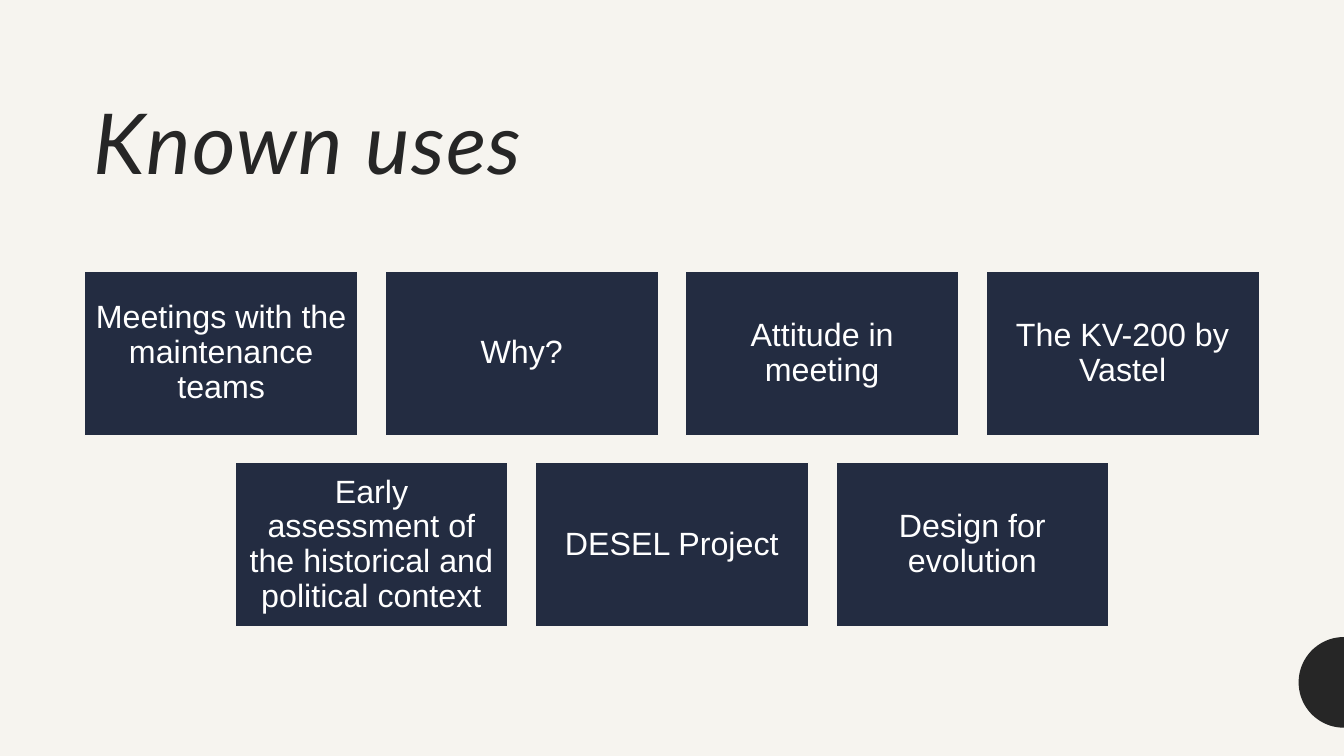
import math

from pptx import Presentation
from pptx import util as u
from pptx.dml.color import RGBColor
from pptx.enum import shapes, text

WIDE, HIGH = 13.33, 7.5


def paint(fill, tint):
    fill.solid()
    fill.fore_color.rgb = RGBColor.from_string(tint)


class Deck:
    paper, ink, navy, white = "F6F4EF", "262626", "232C41", "FFFFFF"
    head, body = "Lato", "Arial"

    def __init__(self, slide):
        self.slide = slide
        paint(slide.background.fill, self.paper)

    def label(self, shape, words, font, size, tint, align, anchor):
        frame = shape.text_frame
        frame.word_wrap = True
        frame.auto_size = text.MSO_AUTO_SIZE.NONE
        frame.vertical_anchor = anchor
        frame.text = words
        para = frame.paragraphs[0]
        para.alignment = align
        para.line_spacing = 0.9
        para.font.name, para.font.size = font, u.Pt(size)
        paint(para.font.fill, tint)
        return para

    def title(self, words, left, top, width, height):
        shape = self.slide.shapes.title
        shape.left, shape.top = u.Inches(left), u.Inches(top)
        shape.width, shape.height = u.Inches(width), u.Inches(height)
        para = self.label(shape, words, self.head, 60, self.ink,
                          text.PP_ALIGN.LEFT, text.MSO_ANCHOR.BOTTOM)
        para.font.italic = True
        # Letter spacing in hundredths of a point
        para.runs[0]._r.get_or_add_rPr().set("spc", "100")

    def card(self, words, left, top, width, height):
        shape = self.slide.shapes.add_shape(
            shapes.MSO_SHAPE.RECTANGLE, u.Inches(left), u.Inches(top),
            u.Inches(width), u.Inches(height))
        shape.shadow.inherit = False
        paint(shape.fill, self.navy)
        paint(shape.line.fill, self.paper)
        shape.line.width = u.Pt(1)
        frame = shape.text_frame
        frame.margin_left = frame.margin_right = u.Inches(0.1)
        frame.margin_top = frame.margin_bottom = u.Inches(0.1)
        self.label(shape, words, self.body, 23, self.white,
                   text.PP_ALIGN.CENTER, text.MSO_ANCHOR.MIDDLE)

    def half(self, x, y, radius, steps=50):
        """Left half of a disc, with its flat side at x."""
        turns = [math.pi * (0.5 + i / steps) for i in range(steps + 1)]
        dots = [(u.Inches(x + radius * math.cos(t)),
                 u.Inches(y + radius * math.sin(t))) for t in turns]
        pen = self.slide.shapes.build_freeform(*dots[0])
        pen.add_line_segments(dots[1:], close=True)
        shape = pen.convert_to_shape()
        shape.shadow.inherit = False
        paint(shape.fill, self.ink)
        shape.line.fill.background()


show = Presentation()
show.slide_width, show.slide_height = u.Inches(WIDE), u.Inches(HIGH)
deck = Deck(show.slides.add_slide(show.slide_layouts[5]))

# Title and edge mark
deck.title("Known uses", 0.83, 0.46, 11.67, 1.5)
deck.half(WIDE, 6.77, 0.45)

# Cards in centred rows
rows = [
    ["Meetings with the maintenance teams", "Why?",
     "Attitude in meeting", "The KV-200 by Vastel"],
    ["Early assessment of the historical and political context",
     "DESEL Project", "Design for evolution"],
]
wide, high, gap, top = 2.71, 1.63, 0.27, 2.69
for r, row in enumerate(rows):
    span = len(row) * (wide + gap) - gap
    left = (WIDE - span) / 2
    for c, words in enumerate(row):
        deck.card(words, left + c * (wide + gap), top + r * (high + gap),
                  wide, high)

show.save("out.pptx")
